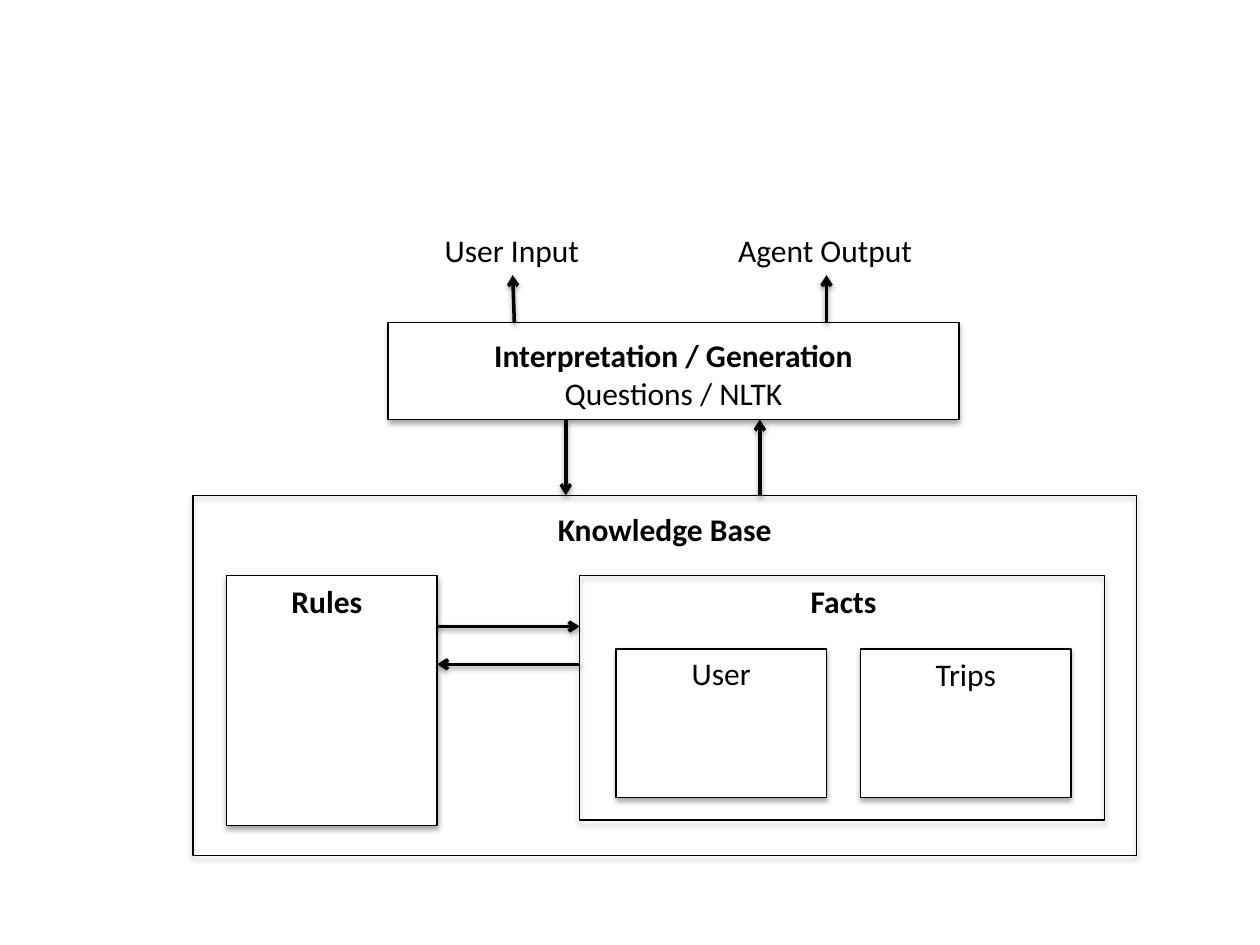
from dataclasses import dataclass
from typing import Optional

from lxml.etree import SubElement
from pptx import Presentation
from pptx.dml.color import RGBColor
from pptx.enum.shapes import MSO_CONNECTOR, MSO_SHAPE
from pptx.enum.text import MSO_ANCHOR, MSO_AUTO_SIZE, PP_ALIGN
from pptx.oxml.ns import qn
from pptx.util import Pt

BLACK, WHITE, BLUE = "000000", "FFFFFF", "4B7EBC"
FONT, SIZE = "Calibri", 18
LABEL_H = 29


@dataclass
class Box:
    """A rectangle of the diagram, in points."""
    x: float
    y: float
    w: float
    h: float
    fill: Optional[str] = WHITE
    line: str = BLACK
    shadow: bool = True


@dataclass
class Label:
    """A one-line text box, in points."""
    text: str
    x: float
    y: float
    w: float
    bold: bool = False
    align: PP_ALIGN = PP_ALIGN.CENTER
    wrap: bool = True


@dataclass
class Arrow:
    """A straight arrow that points at its second end, in points."""
    x1: float
    y1: float
    x2: float
    y2: float


def rgb(color: str) -> RGBColor:
    """Turn a hex string into a colour."""
    return RGBColor.from_string(color)


def add_shadow(sp, alpha: int, dist: float) -> None:
    """Give a shape or connector a soft shadow straight below it."""
    sp_pr = sp._element.spPr
    effects = sp_pr.find(qn("a:effectLst"))
    if effects is None:
        effects = SubElement(sp_pr, qn("a:effectLst"))
    shadow = SubElement(effects, qn("a:outerShdw"), blurRad=str(Pt(3.1)),
                        dist=str(Pt(dist)), dir="5400000", rotWithShape="0")
    color = SubElement(shadow, qn("a:srgbClr"), val=BLACK)
    SubElement(color, qn("a:alpha"), val=str(alpha * 1000))


def add_box(s, box: Box):
    """Draw a rectangle and return it."""
    sp = s.shapes.add_shape(MSO_SHAPE.RECTANGLE, Pt(box.x), Pt(box.y),
                            Pt(box.w), Pt(box.h))
    if box.fill:
        sp.fill.solid()
        sp.fill.fore_color.rgb = rgb(box.fill)
    else:
        sp.fill.background()
    sp.line.color.rgb = rgb(box.line)
    sp.line.width = Pt(0.75)
    sp.shadow.inherit = False
    if box.shadow:
        add_shadow(sp, alpha=35, dist=1.8)
    return sp


def write(p, text: str, bold: bool = False, align: PP_ALIGN = PP_ALIGN.CENTER,
          spacing: Optional[float] = None) -> None:
    """Write formatted text into a paragraph."""
    p.alignment = align
    if spacing:
        p.line_spacing = spacing
    r = p.add_run()
    r.text = text
    r.font.name = FONT
    r.font.size = Pt(SIZE)
    r.font.bold = bold
    r.font.color.rgb = rgb(BLACK)


def add_label(s, label: Label) -> None:
    """Draw a one-line text box."""
    sp = s.shapes.add_textbox(Pt(label.x), Pt(label.y), Pt(label.w), Pt(LABEL_H))
    tf = sp.text_frame
    tf.word_wrap = label.wrap
    tf.auto_size = MSO_AUTO_SIZE.SHAPE_TO_FIT_TEXT
    write(tf.paragraphs[0], label.text, bold=label.bold, align=label.align)


def add_arrow(s, arrow: Arrow) -> None:
    """Draw an arrow with a shadow."""
    c = s.shapes.add_connector(MSO_CONNECTOR.STRAIGHT, Pt(arrow.x1), Pt(arrow.y1),
                               Pt(arrow.x2), Pt(arrow.y2))
    c.line.color.rgb = rgb(BLACK)
    c.line.width = Pt(2)
    SubElement(c._element.spPr.find(qn("a:ln")), qn("a:tailEnd"), type="arrow")
    add_shadow(c, alpha=38, dist=1.6)


def add_interpreter(s, box: Box) -> None:
    """Draw the framed two-line text of the language layer."""
    tf = add_box(s, box).text_frame
    tf.word_wrap = True
    tf.auto_size = MSO_AUTO_SIZE.SHAPE_TO_FIT_TEXT
    tf.vertical_anchor = MSO_ANCHOR.TOP
    write(tf.paragraphs[0], "Interpretation / Generation", bold=True, spacing=1.2)
    write(tf.add_paragraph(), "Questions / NLTK")


LAYER_X, LAYER_Y, LAYER_W, LAYER_H = 221.8, 184.3, 326.2, 55.4
BASE_X, BASE_Y, BASE_W = 110.2, 283, 539.3
RULES_X, FACTS_X, INNER_Y = 129.6, 331.2, 329
USER_X, TRIPS_X, CARD_Y, CARD_W = 352.1, 491.8, 370.8, 120.2
RULES_RIGHT = RULES_X + CARD_W
LAYER_BOTTOM = LAYER_Y + LAYER_H
IO_Y = 128.2
IO_BOTTOM = IO_Y + LABEL_H

BOXES = [
    Box(RULES_X, INNER_Y, CARD_W, 142.6),
    *(Box(x, CARD_Y, CARD_W, 85) for x in (USER_X, TRIPS_X)),
    Box(FACTS_X, INNER_Y, 300.2, 139.7, fill=None),
    Box(BASE_X, BASE_Y, BASE_W, 205.9, fill=None),
    Box(LAYER_X, LAYER_Y, LAYER_W, LAYER_H, line=BLUE),
]
LABELS = [
    Label("Rules", 126.7, INNER_Y, CARD_W, bold=True),
    Label("User", USER_X, 370, CARD_W),
    Label("Trips", TRIPS_X, CARD_Y, CARD_W),
    Label("Facts", 323.3, INNER_Y, 317.5, bold=True),
    Label("Knowledge Base", BASE_X, 288, BASE_W, bold=True),
    Label("User Input", 247, IO_Y, 92.2, align=PP_ALIGN.LEFT, wrap=False),
    Label("Agent Output", 414.7, IO_Y, 115.2, align=PP_ALIGN.LEFT, wrap=False),
]
ARROWS = [
    Arrow(RULES_RIGHT, 358, FACTS_X, 358),
    Arrow(FACTS_X, 379.6, RULES_RIGHT, 379.6),
    Arrow(323.3, LAYER_BOTTOM, 323.3, BASE_Y),
    Arrow(434.2, BASE_Y, 434.2, LAYER_BOTTOM),
    Arrow(293.9, LAYER_Y, 293, IO_BOTTOM),
    Arrow(472.3, LAYER_Y, 472.3, IO_BOTTOM),
]

prs = Presentation()
prs.slide_width, prs.slide_height = Pt(720), Pt(540)
s = prs.slides.add_slide(prs.slide_layouts[6])
for box in BOXES:
    add_box(s, box)
add_interpreter(s, Box(LAYER_X, LAYER_Y, LAYER_W, LAYER_H, fill=None, shadow=False))
for label in LABELS:
    add_label(s, label)
for arrow in ARROWS:
    add_arrow(s, arrow)
prs.save("out.pptx")
